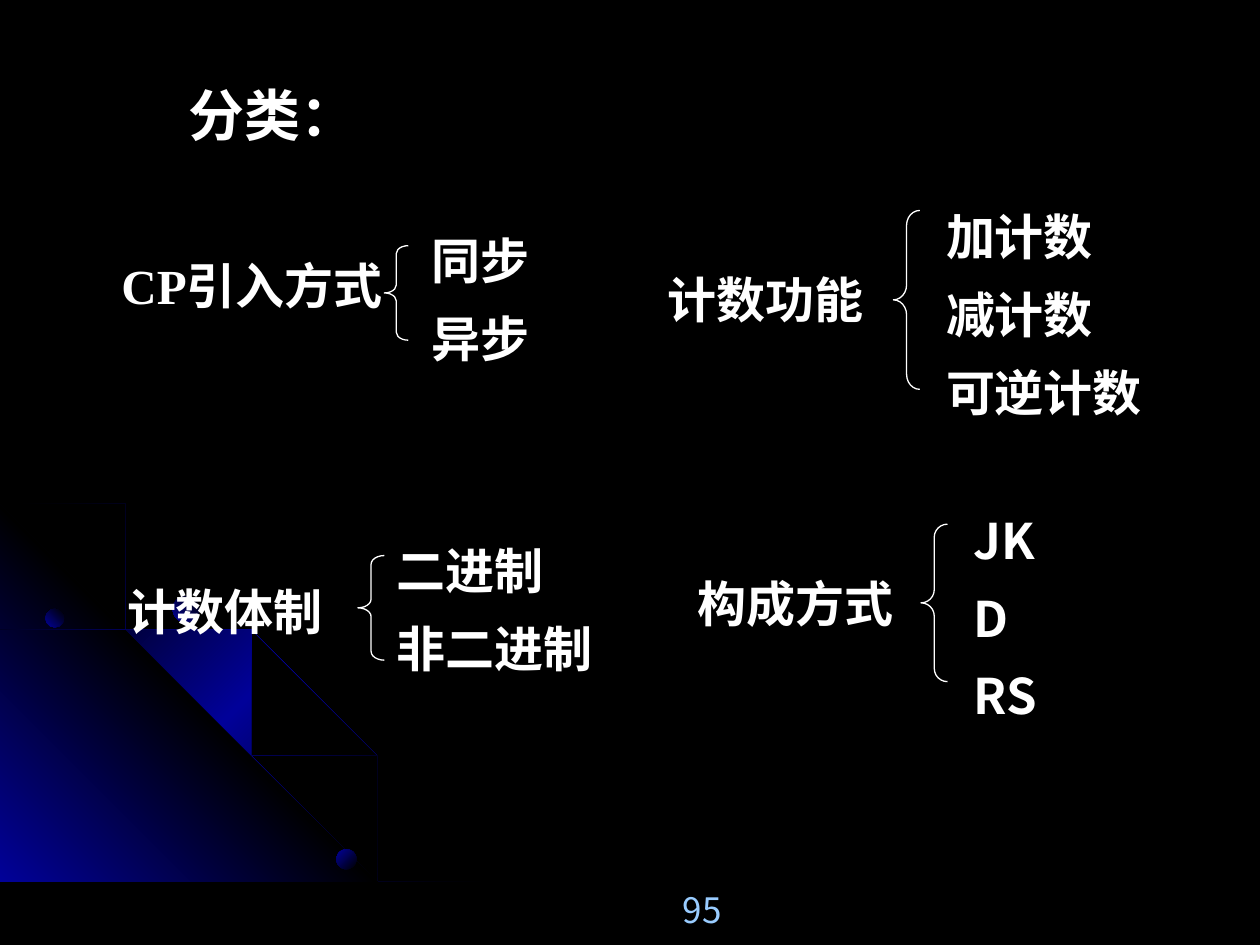
from dataclasses import dataclass

import lxml.etree
import pptx
import pptx.dml.color
import pptx.enum.shapes
import pptx.enum.text
import pptx.oxml.ns
import pptx.util
from pptx.util import Inches

WHITE, BLACK, BLUE, PALE_BLUE = "FFFFFF", "000000", "010199", "99CCFF"
SERIF, SANS = "Times New Roman", "Noto Sans CJK SC"
CENTER = pptx.enum.text.PP_ALIGN.CENTER
LEFT = pptx.enum.text.PP_ALIGN.LEFT
Area = tuple[float, float, float, float]


@dataclass
class Category:
    label: str
    label_area: Area
    brace_area: Area
    items: list[str]
    items_area: Area
    items_font: str = SERIF
    label_wrap: bool = True


@dataclass
class Dot:
    left: float
    top: float
    size: float
    angle: int


CATEGORIES = [
    Category("计数体制", (0.91, 4.57, 2.35, 0.57), (2.84, 4.41, 0.21, 0.83),
             ["二进制", "非二进制"], (3.05, 4.24, 2.03, 1.19)),
    Category("CP引入方式", (0.82, 1.98, 2.36, 0.57), (3.05, 1.95, 0.19, 0.75),
             ["同步", "异步"], (3.33, 1.78, 1.03, 1.19), label_wrap=False),
    Category("计数功能", (5.2, 2.09, 2.11, 0.57), (7.09, 1.67, 0.21, 1.42),
             ["加计数", "减计数", "可逆计数"], (7.41, 1.59, 2.21, 1.8)),
    Category("构成方式", (5.44, 4.5, 2.08, 0.57), (7.31, 4.16, 0.21, 1.25),
             ["JK", "D", "RS"], (7.63, 4, 1.14, 1.8), SANS),
]

DOTS = [Dot(0.36, 4.83, 0.15, 135), Dot(2.67, 6.74, 0.16, 225), Dot(1.37, 4.73, 0.21, 135)]

CORNER = [(3.22, 7.49), (0, 7.49), (0, 4.27)]
OUTER_ARC = [
    (0.57, 4.47), (0.28, 4.41), (0, 4.35), (0, 4.38), (0.28, 4.43), (0.56, 4.49),
    (0.97, 4.61), (1.35, 4.78), (1.73, 4.99), (2.08, 5.23), (2.41, 5.49), (2.71, 5.79),
    (2.98, 6.12), (3.23, 6.49), (3.37, 6.73), (3.5, 6.98), (3.6, 7.23), (3.7, 7.49),
    (3.72, 7.49), (3.62, 7.23), (3.52, 6.98), (3.39, 6.73), (3.25, 6.48), (3, 6.11),
    (2.72, 5.78), (2.42, 5.48), (2.09, 5.21), (1.74, 4.97), (1.36, 4.77), (0.98, 4.59)]
INNER_ARC = [
    (2.85, 7.14), (2.94, 7.32), (3.01, 7.49), (3.03, 7.49), (2.96, 7.3), (2.86, 7.12),
    (2.66, 6.76), (2.42, 6.4), (2.15, 6.06), (1.84, 5.76), (1.52, 5.49), (1.17, 5.26),
    (0.79, 5.05), (0.41, 4.88), (0, 4.75), (0, 4.77), (0.39, 4.9), (0.77, 5.07),
    (1.15, 5.28), (1.5, 5.51), (1.83, 5.78), (2.13, 6.08), (2.4, 6.42), (2.65, 6.77)]
MIDDLE_ARC = [
    (0, 4.42), (0, 4.44), (0.36, 4.57), (0.74, 4.75), (1.09, 4.94), (1.42, 5.18),
    (1.73, 5.44), (2.02, 5.75), (2.27, 6.05), (2.52, 6.41), (2.67, 6.67), (2.8, 6.94),
    (2.92, 7.22), (3.01, 7.49), (3.03, 7.49), (2.94, 7.2), (2.82, 6.93), (2.69, 6.65),
    (2.54, 6.39), (2.29, 6.03), (2.04, 5.73), (1.75, 5.43), (1.44, 5.16), (1.11, 4.93),
    (0.76, 4.73), (0.39, 4.55)]


def color(value: str) -> pptx.dml.color.RGBColor:
    return pptx.dml.color.RGBColor.from_string(value)


def paint_gradient(shape, colors: list[str], angle: int) -> None:
    """Spread the colours evenly; the angle runs clockwise in degrees."""
    shape.shadow.inherit = False
    shape.line.fill.background()
    shape.fill.gradient()
    gradient = shape._element.spPr.find(pptx.oxml.ns.qn("a:gradFill"))
    for child in list(gradient):
        gradient.remove(child)
    stops = lxml.etree.SubElement(gradient, pptx.oxml.ns.qn("a:gsLst"))
    for index, value in enumerate(colors):
        position = 100000 * index // (len(colors) - 1)
        stop = lxml.etree.SubElement(stops, pptx.oxml.ns.qn("a:gs"), pos=str(position))
        lxml.etree.SubElement(stop, pptx.oxml.ns.qn("a:srgbClr"), val=value)
    lxml.etree.SubElement(gradient, pptx.oxml.ns.qn("a:lin"), ang=str(angle * 60000), scaled="0")


def add_outline(page, points: list[tuple[float, float]], colors: list[str], angle: int) -> None:
    builder = page.shapes.build_freeform(*points[0], scale=Inches(1))
    builder.add_line_segments(points[1:], close=True)
    paint_gradient(builder.convert_to_shape(), colors, angle)


def add_dot(page, dot: Dot) -> None:
    shape = page.shapes.add_shape(
        pptx.enum.shapes.MSO_SHAPE.OVAL,
        Inches(dot.left), Inches(dot.top), Inches(dot.size), Inches(dot.size))
    paint_gradient(shape, [BLACK, BLUE], dot.angle)


def add_text(page, lines: list[str], area: Area, size: float = 28, font: str = SERIF,
             fill: str = WHITE, bold: bool = True, align=LEFT, wrap: bool = True) -> None:
    box = page.shapes.add_textbox(*map(Inches, area))
    frame = box.text_frame
    frame.word_wrap = wrap
    frame.text = "\n".join(lines)
    for index, para in enumerate(frame.paragraphs):
        para.alignment = align
        if index:
            para.line_spacing = 0.8
            para.space_before = pptx.util.Pt(17.5)
        for span in para.runs:
            span.font.size = pptx.util.Pt(size)
            span.font.bold = bold
            span.font.color.rgb = color(fill)
            span.font.name = font
            lxml.etree.SubElement(span.font._element, pptx.oxml.ns.qn("a:ea"), typeface=SANS)


def add_brace(page, area: Area) -> None:
    brace = page.shapes.add_shape(pptx.enum.shapes.MSO_SHAPE.LEFT_BRACE, *map(Inches, area))
    width, height = area[2:]
    brace.adjustments[0] = height / 12 / width  # each curve takes a twelfth of the height
    brace.shadow.inherit = False
    brace.fill.background()
    brace.line.color.rgb = color(WHITE)
    brace.line.width = pptx.util.Pt(0.75)


def add_category(page, category: Category) -> None:
    add_text(page, [category.label], category.label_area, wrap=category.label_wrap,
             align=LEFT if category.label_wrap else CENTER)
    add_text(page, category.items, category.items_area, font=category.items_font)
    add_brace(page, category.brace_area)


def main() -> None:
    deck = pptx.Presentation()
    deck.slide_width, deck.slide_height = Inches(10), Inches(7.5)
    page = deck.slides.add_slide(deck.slide_layouts[6])
    page.background.fill.solid()
    page.background.fill.fore_color.rgb = color(BLACK)

    # Glowing corner with arcs and dots
    glow = [BLACK, BLUE, BLACK]
    add_outline(page, OUTER_ARC, glow, 225)
    add_outline(page, CORNER, [BLUE, BLACK, BLUE], 135)
    add_outline(page, INNER_ARC, glow, 225)
    add_outline(page, MIDDLE_ARC, glow, 225)
    for dot in DOTS:
        add_dot(page, dot)

    # Heading and the four classifications
    add_text(page, ["分类："], (1.18, 0.59, 1.53, 0.64), size=32, align=CENTER, wrap=False)
    for category in CATEGORIES:
        add_category(page, category)

    # Page number
    add_text(page, ["95"], (4.41, 7, 2.33, 0.5), size=20, font=SANS,
             fill=PALE_BLUE, bold=False, align=CENTER)
    deck.save("out.pptx")


if __name__ == "__main__":
    main()
